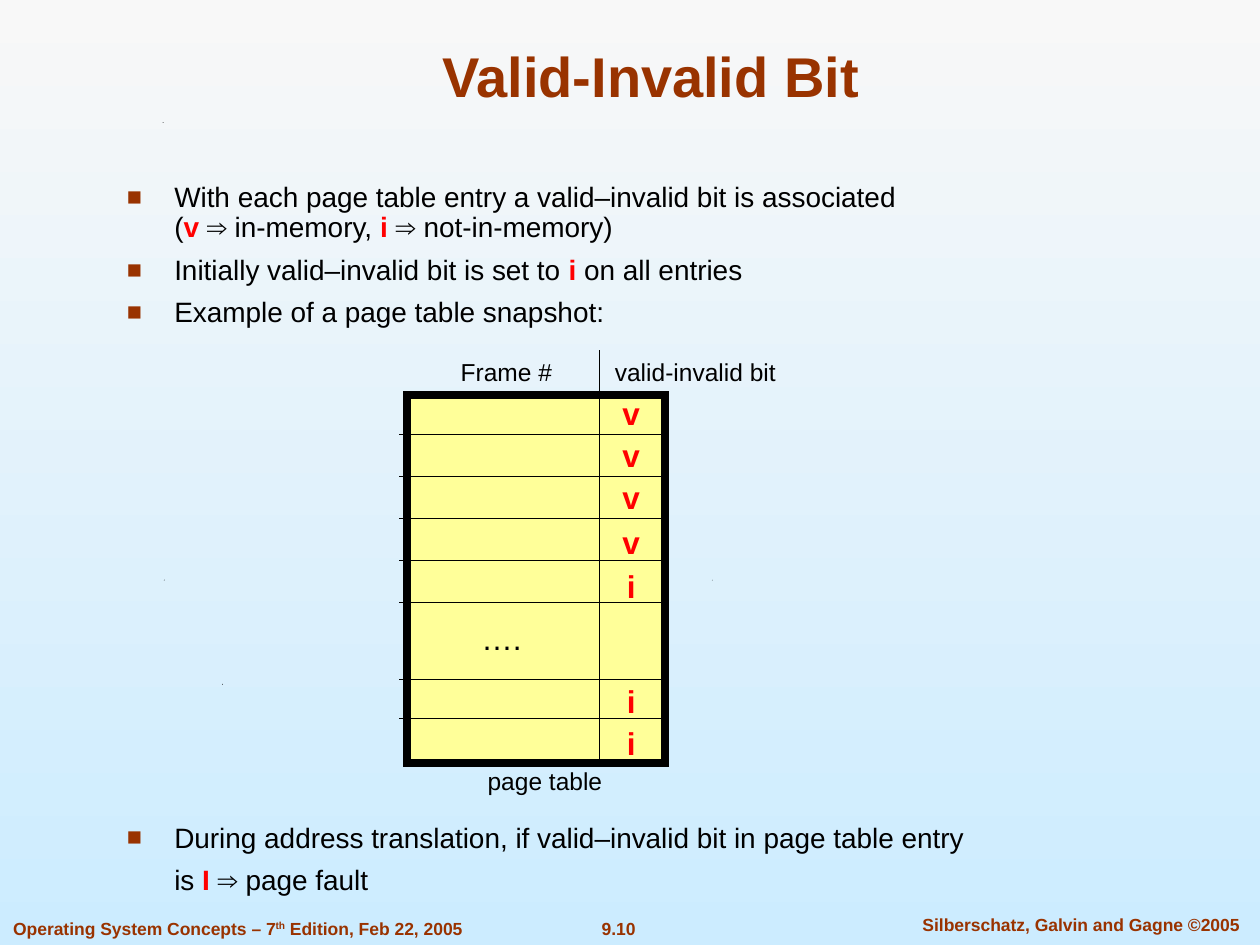
from pptx import Presentation
from pptx.dml.color import RGBColor
from pptx.enum.shapes import MSO_CONNECTOR, MSO_SHAPE
from pptx.enum.text import MSO_ANCHOR, PP_ALIGN
from pptx.oxml.ns import qn
from pptx.util import Pt
from lxml import etree

BROWN = RGBColor(0x99, 0x33, 0x00)
RED = RGBColor(0xFF, 0x00, 0x00)
BLACK = RGBColor(0x00, 0x00, 0x00)
YELLOW = RGBColor(0xFF, 0xFF, 0x99)
SKY_TOP = RGBColor(0xF8, 0xF8, 0xF8)
SKY_BOTTOM = RGBColor(0xCC, 0xEC, 0xFF)
LEFT, CENTER = PP_ALIGN.LEFT, PP_ALIGN.CENTER
TOP, MIDDLE, BOTTOM = MSO_ANCHOR.TOP, MSO_ANCHOR.MIDDLE, MSO_ANCHOR.BOTTOM
RECTANGLE, STRAIGHT = MSO_SHAPE.RECTANGLE, MSO_CONNECTOR.STRAIGHT
FONT = "Arial"
INDENT = 27


class SlideBuilder:
    """Holds the text style and the slide being filled."""

    def __init__(self, slide):
        self.slide = slide

    def background(self, top_color, bottom_color):
        fill = self.slide.background.fill
        fill.gradient()
        fill.gradient_angle = 270
        for stop, color in zip(fill.gradient_stops, (top_color, bottom_color)):
            stop.color.rgb = color

    def span(self, para, text, size, color=BLACK, bold=False, raised=False):
        span = para.add_run()
        span.text = text
        span.font.name = FONT
        span.font.size = Pt(size)
        span.font.bold = bold
        span.font.color.rgb = color
        if raised:
            span._r.get_or_add_rPr().set("baseline", "30000")

    def title(self, text, left, top, width, height):
        box = self.slide.shapes.title
        box.left, box.top = Pt(left), Pt(top)
        box.width, box.height = Pt(width), Pt(height)
        box.text_frame.vertical_anchor = BOTTOM
        para = box.text_frame.paragraphs[0]
        para.alignment = CENTER
        self.span(para, text, 32, BROWN, bold=True)

    def text_box(self, left, top, width, height, anchor=TOP, wrap=True):
        box = self.slide.shapes.add_textbox(Pt(left), Pt(top), Pt(width), Pt(height))
        box.text_frame.word_wrap = wrap
        box.text_frame.vertical_anchor = anchor
        return box.text_frame

    def label(self, text, center_x, center_y, width, size, color=BLACK, bold=False):
        height = size * 1.15 + 7.2
        frame = self.text_box(center_x - width / 2, center_y - height / 2,
                              width, height, MIDDLE, wrap=False)
        para = frame.paragraphs[0]
        para.alignment = CENTER
        self.span(para, text, size, color, bold)

    def bullets(self, items, left, top, width, height):
        """Each item is (has_bullet, lines); a line lists (text, is_key) pairs."""
        frame = self.text_box(left, top, width, height)
        for index, (has_bullet, lines) in enumerate(items):
            para = frame.add_paragraph() if index else frame.paragraphs[0]
            para.alignment = LEFT
            para.line_spacing = 0.9
            para.space_before = Pt(7)
            self.indent(para, has_bullet)
            for number, line in enumerate(lines):
                if number:
                    para.add_line_break()
                for text, is_key in line:
                    self.span(para, text, 16, RED if is_key else BLACK, is_key)

    def indent(self, para, has_bullet):
        properties = para._p.get_or_add_pPr()
        properties.set("marL", str(Pt(INDENT)))
        properties.set("indent", str(-Pt(INDENT) if has_bullet else 0))
        if has_bullet:
            color = etree.SubElement(properties, qn("a:buClr"))
            etree.SubElement(color, qn("a:srgbClr"), val=str(BROWN))
            etree.SubElement(properties, qn("a:buSzPct"), val="90000")
            etree.SubElement(properties, qn("a:buFont"), typeface=FONT)
            etree.SubElement(properties, qn("a:buChar"), char="■")

    def rectangle(self, left, top, width, height, fill, line_width):
        box = self.slide.shapes.add_shape(RECTANGLE, Pt(left), Pt(top), Pt(width), Pt(height))
        box.shadow.inherit = False
        box.fill.solid()
        box.fill.fore_color.rgb = fill
        box.line.color.rgb = BLACK
        box.line.width = Pt(line_width)
        outline = box._element.spPr.find(qn("a:ln"))
        etree.SubElement(outline, qn("a:miter"), lim="800000")

    def line(self, x1, y1, x2, y2):
        line = self.slide.shapes.add_connector(STRAIGHT, Pt(x1), Pt(y1), Pt(x2), Pt(y2))
        line.line.color.rgb = BLACK
        line.line.width = Pt(0.75)
        etree.SubElement(line._element.spPr, qn("a:effectLst"))

    def speck(self, x, y, size=0.5):
        outline = self.slide.shapes.build_freeform(Pt(x), Pt(y + size))
        outline.add_line_segments([(Pt(x + size), Pt(y)), (Pt(x + size), Pt(y + size))])
        speck = outline.convert_to_shape()
        speck.shadow.inherit = False
        speck.fill.solid()
        speck.fill.fore_color.rgb = BLACK
        speck.line.fill.background()


def main():
    deck = Presentation()
    deck.slide_width, deck.slide_height = Pt(720), Pt(540)
    page = SlideBuilder(deck.slides.add_slide(deck.slide_layouts[5]))
    page.background(SKY_TOP, SKY_BOTTOM)

    # Specks of the master design
    for x, y in [(126.9, 390.7), (93.6, 331.2), (406.8, 331.2), (92.9, 69.8)]:
        page.speck(x, y)

    # Footer
    frame = page.text_box(0.4, 520.8, 300, 19, wrap=False)
    for text, raised in [("Operating System Concepts – 7", False), ("th", True),
                         (" Edition, Feb 22, 2005", False)]:
        page.span(frame.paragraphs[0], text, 10, BROWN, True, raised)
    page.label("9.10", 353.5, 530.5, 70, 10, BROWN, True)
    page.label("Silberschatz, Galvin and Gagne ©2005", 617.7, 528.1, 204, 10, BROWN, True)

    # Title and bullets
    page.title("Valid-Invalid Bit", 54, 17.6, 636, 48)
    page.bullets([
        (True, [[("With each page table entry a valid–invalid bit is associated", False)],
                [("(", False), ("v ", True), ("⇒ in-memory, ", False),
                 ("i ", True), ("⇒ not-in-memory)", False)]]),
        (True, [[("Initially valid–invalid bit is set to", False), (" i ", True),
                 ("on all entries", False)]]),
        (True, [[("Example of a page table snapshot:", False)]]),
    ], 65.52, 101.2, 570, 95)
    page.bullets([
        (True, [[("During address translation, if valid–invalid bit in page table entry",
                  False)]]),
        (False, [[("is", False), (" I ", True), ("⇒ page fault", False)]]),
    ], 65.52, 467.3, 570, 50)

    # Page table with its row and column rules
    page.rectangle(232.56, 225.8, 147.6, 210.24, YELLOW, 4.5)
    for y in [248.4 + 24 * row for row in range(5)] + [388.1, 410.4]:
        page.line(228.24, y, 378.72, y)
    page.line(342.72, 200.16, 342.72, 434.16)

    # Valid and invalid marks
    for mark, y in zip("vvvviii", [236.2, 259.9, 283.7, 309.6, 334.8, 400.3, 424.8]):
        page.label(mark, 360.7, y, 28, 18, RED, True)

    # Table captions
    page.label("….", 286.6, 364.3, 44, 18)
    page.label("Frame #", 289.4, 212.4, 80, 14)
    page.label("valid-invalid bit", 397.4, 212.4, 116, 14)
    page.label("page table", 311.4, 446.4, 90, 14)

    deck.save("out.pptx")


if __name__ == "__main__":
    main()
